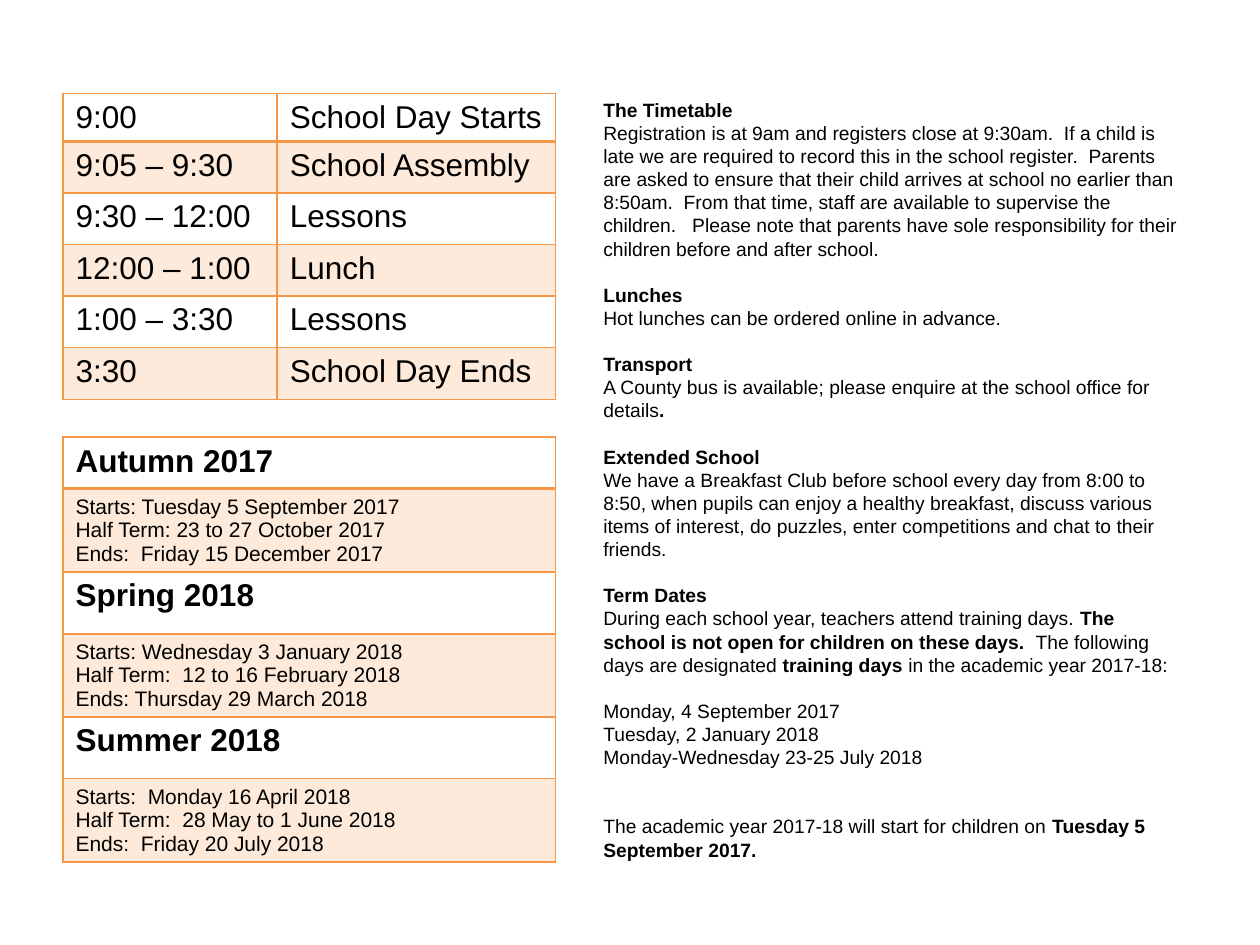
from lxml import etree
from pptx import Presentation
from pptx.dml.color import RGBColor
from pptx.enum.text import MSO_AUTO_SIZE
from pptx.oxml.ns import qn
from pptx.util import Inches, Pt

FONT = "Arial"
BLACK = RGBColor(0x00, 0x00, 0x00)
ORANGE = RGBColor(0xF7, 0x96, 0x46)
BAND_OPACITY = 20
LARGE, MEDIUM, SMALL = 18, 12, 11
BLANK_LINE = 13.2

SCHOOL_DAY = [
    ("9:00", "School Day Starts"),
    ("9:05 – 9:30", "School Assembly"),
    ("9:30 – 12:00", "Lessons"),
    ("12:00 – 1:00", "Lunch"),
    ("1:00 – 3:30", "Lessons"),
    ("3:30", "School Day Ends"),
]

TERMS = [
    ("Autumn 2017", ["Starts: Tuesday 5 September 2017",
                     "Half Term: 23 to 27 October 2017",
                     "Ends:  Friday 15 December 2017"]),
    ("Spring 2018", ["Starts: Wednesday 3 January 2018",
                     "Half Term:  12 to 16 February 2018",
                     "Ends: Thursday 29 March 2018"]),
    ("Summer 2018", ["Starts:  Monday 16 April 2018",
                     "Half Term:  28 May to 1 June 2018",
                     "Ends:  Friday 20 July 2018"]),
]

# Each section: blank lines before it, then paragraphs of (text, bold) runs.
SECTIONS = [
    (0, [
        [("The Timetable", True)],
        [("Registration is at 9am and registers close at 9:30am.  If a child is late "
          "we are required to record this in the school register.  Parents are asked "
          "to ensure that their child arrives at school no earlier than 8:50am.  From "
          "that time, staff are available to supervise the children.   Please note "
          "that parents have sole responsibility for their children before and after "
          "school.", False)],
    ]),
    (1, [
        [("Lunches", True)],
        [("Hot lunches can be ordered online in advance.", False)],
    ]),
    (1, [
        [("Transport", True)],
        [("A County bus is available; please enquire at the school office for details",
          False), (".", True)],
    ]),
    (1, [
        [("Extended School", True)],
        [("We have a Breakfast Club before school every day from 8:00 to 8:50, when "
          "pupils can enjoy a healthy breakfast, discuss various items of interest, "
          "do puzzles, enter competitions and chat to their friends.", False)],
    ]),
    (1, [
        [("Term Dates", True)],
        [("During each school year, teachers attend training days. ", False),
         ("The school is not open for children on these days.", True),
         ("  The following days are designated ", False),
         ("training days ", True),
         ("in the academic year 2017-18:", False)],
    ]),
    (1, [
        [("Monday, 4 September 2017", False)],
        [("Tuesday, 2 January 2018", False)],
        [("Monday-Wednesday 23-25 July 2018", False)],
    ]),
    (2, [
        [("The academic year 2017-18 will start for children on ", False),
         ("Tuesday 5 September 2017.", True)],
    ]),
]


def write_paragraph(text_frame, runs, size, first=False, space_before=0):
    paragraph = text_frame.paragraphs[0] if first else text_frame.add_paragraph()
    if space_before:
        paragraph.space_before = Pt(space_before)
    for text, bold in runs:
        run = paragraph.add_run()
        run.text = text
        run.font.name = FONT
        run.font.size = Pt(size)
        run.font.bold = bold
        run.font.color.rgb = BLACK


def style_cell(cell, banded, bottom_width):
    """Orange borders all round, and a translucent orange fill on banded rows."""
    properties = cell._tc.get_or_add_tcPr()
    widths = {"a:lnL": 1, "a:lnR": 1, "a:lnT": 1, "a:lnB": bottom_width}
    for tag, width in widths.items():
        line = etree.SubElement(properties, qn(tag), w=str(Pt(width)))
        fill = etree.SubElement(line, qn("a:solidFill"))
        etree.SubElement(fill, qn("a:srgbClr"), val=str(ORANGE))
    if not banded:
        cell.fill.background()
        return
    cell.fill.solid()
    cell.fill.fore_color.rgb = ORANGE
    color = properties.find(qn("a:solidFill")).find(qn("a:srgbClr"))
    etree.SubElement(color, qn("a:alpha"), val=str(BAND_OPACITY * 1000))


def add_banded_table(slide, top, column_widths, row_heights, rows):
    """rows holds cells; a cell is a list of lines, a size and a bold flag."""
    shape = slide.shapes.add_table(
        len(rows), len(column_widths), Inches(0.5), Inches(top),
        Inches(sum(column_widths)), Inches(sum(row_heights)))
    table = shape.table
    table.first_row = table.horz_banding = False
    for column, width in zip(table.columns, column_widths):
        column.width = Inches(width)
    for row_index, (height, cells) in enumerate(zip(row_heights, rows)):
        table.rows[row_index].height = Inches(height)
        for column_index, (lines, size, bold) in enumerate(cells):
            cell = table.cell(row_index, column_index)
            for line_index, line in enumerate(lines):
                write_paragraph(cell.text_frame, [(line, bold)], size,
                                first=line_index == 0)
            style_cell(cell, banded=row_index % 2 == 1,
                       bottom_width=2 if row_index == 0 else 1)


def add_information(slide):
    box = slide.shapes.add_textbox(Inches(4.69), Inches(0.73), Inches(4.76), Inches(6.4))
    text_frame = box.text_frame
    text_frame.word_wrap = True
    text_frame.auto_size = MSO_AUTO_SIZE.SHAPE_TO_FIT_TEXT
    for section_index, (blank_lines, paragraphs) in enumerate(SECTIONS):
        for index, runs in enumerate(paragraphs):
            write_paragraph(text_frame, runs, SMALL,
                            first=section_index == index == 0,
                            space_before=blank_lines * BLANK_LINE if index == 0 else 0)


def main():
    presentation = Presentation()
    presentation.slide_width, presentation.slide_height = Inches(10), Inches(7.5)
    slide = presentation.slides.add_slide(presentation.slide_layouts[6])

    day_rows = [[([text], LARGE, False) for text in row] for row in SCHOOL_DAY]
    add_banded_table(slide, 0.74, [1.7, 2.21], [0.37] + [0.41] * 5, day_rows)

    term_rows = []
    for name, dates in TERMS:
        term_rows += [[([name], LARGE, True)], [(dates, MEDIUM, False)]]
    add_banded_table(slide, 3.47, [3.91], [0.41, 0.66] + [0.49, 0.66] * 2, term_rows)

    add_information(slide)
    presentation.save("out.pptx")


if __name__ == "__main__":
    main()
